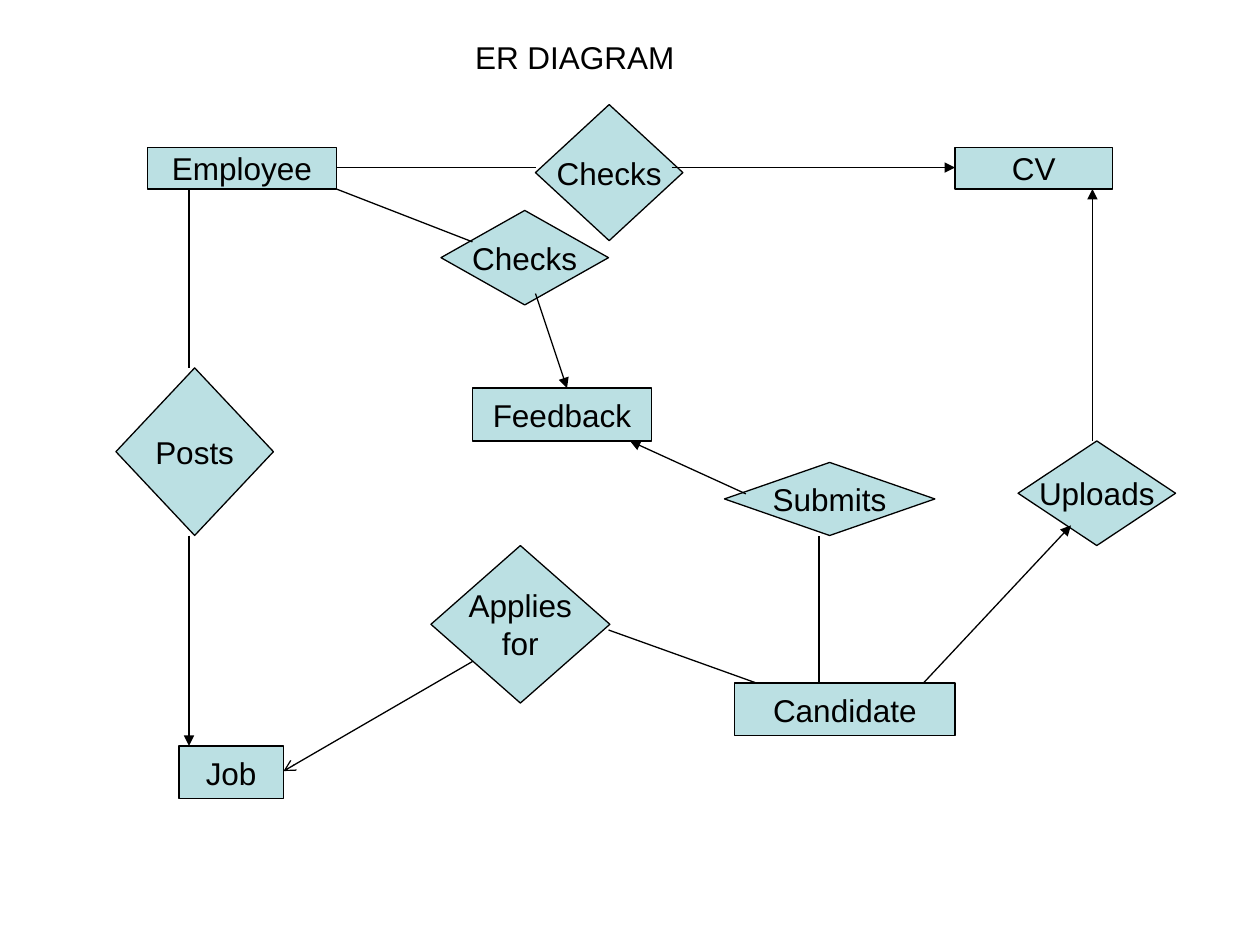
"""Build an entity-relationship diagram slide for a recruitment system."""
from lxml import etree
from pptx import Presentation
from pptx.dml.color import RGBColor
from pptx.enum.shapes import MSO_CONNECTOR, MSO_SHAPE
from pptx.enum.text import MSO_ANCHOR, MSO_AUTO_SIZE, PP_ALIGN
from pptx.oxml.ns import qn
from pptx.util import Inches, Pt

ENTITY, RELATION = MSO_SHAPE.RECTANGLE, MSO_SHAPE.DIAMOND
STRAIGHT = MSO_CONNECTOR.STRAIGHT
MIDDLE, TOP = MSO_ANCHOR.MIDDLE, MSO_ANCHOR.TOP
CENTER, LEFT = PP_ALIGN.CENTER, PP_ALIGN.LEFT
FIT_SHAPE = MSO_AUTO_SIZE.SHAPE_TO_FIT_TEXT

INK, FILL = "000000", "BBE0E3"
TITLE, TITLE_BOX = "ER DIAGRAM", (3.67, 0.25, 3.42, 0.4)

NODES = [
    (ENTITY, "Candidate", (5.83, 5.42, 1.75, 0.42)),
    (ENTITY, "Employee", (1.17, 1.17, 1.5, 0.33)),
    (ENTITY, "CV", (7.58, 1.17, 1.25, 0.33)),
    (ENTITY, "Job", (1.42, 5.92, 0.83, 0.42)),
    (RELATION, "Checks", (4.25, 0.83, 1.17, 1.08)),
    (RELATION, "Uploads", (8.08, 3.5, 1.25, 0.83)),
    (RELATION, "Applies\nfor", (3.42, 4.33, 1.42, 1.25)),
    (RELATION, "Posts", (0.92, 2.92, 1.25, 1.33)),
    (ENTITY, "Feedback", (3.75, 3.08, 1.42, 0.42)),
    (RELATION, "Submits", (5.75, 3.67, 1.67, 0.58)),
    (RELATION, "Checks", (3.5, 1.67, 1.33, 0.75)),
]

LINKS = [
    ((1.5, 4.25), (1.5, 5.92), "triangle"),
    ((1.5, 2.92), (1.5, 1.5), None),
    ((5.33, 1.33), (7.58, 1.33), "triangle"),
    ((2.67, 1.33), (4.25, 1.33), None),
    ((8.67, 3.5), (8.67, 1.5), "triangle"),
    ((4.83, 5), (6, 5.42), None),
    ((7.33, 5.42), (8.5, 4.17), "triangle"),
    ((4, 2.75), (4, 2.75), "triangle"),
    ((6.5, 5.42), (6.5, 4.25), None),
    ((5.92, 3.92), (5, 3.5), "triangle"),
    ((4.25, 2.33), (4.5, 3.08), "triangle"),
    ((2.67, 1.5), (3.75, 1.92), None),
    ((3.75, 5.25), (2.25, 6.12), "arrow"),
]


def color(value):
    return RGBColor.from_string(value)


def write_text(shape, text, alignment, anchor, wrap):
    frame = shape.text_frame
    frame.word_wrap = wrap
    frame.vertical_anchor = anchor
    for index, line in enumerate(text.split("\n")):
        paragraph = frame.add_paragraph() if index else frame.paragraphs[0]
        paragraph.alignment = alignment
        run = paragraph.add_run()
        run.text = line
        run.font.name = "Arial"
        run.font.size = Pt(18)
        run.font.color.rgb = color(INK)


def draw_outline(line):
    line.color.rgb = color(INK)
    line.width = Pt(0.75)


def add_title(slide):
    title = slide.shapes.title
    title.left, title.top, title.width, title.height = map(Inches, TITLE_BOX)
    write_text(title, TITLE, LEFT, TOP, True)
    title.text_frame.auto_size = FIT_SHAPE


def add_node(slide, kind, label, box):
    shape = slide.shapes.add_shape(kind, *map(Inches, box))
    shape.shadow.inherit = False
    shape.fill.solid()
    shape.fill.fore_color.rgb = color(FILL)
    draw_outline(shape.line)
    write_text(shape, label, CENTER, MIDDLE, False)


def add_link(slide, start, end, arrowhead):
    connector = slide.shapes.add_connector(STRAIGHT, *map(Inches, start + end))
    draw_outline(connector.line)
    properties = connector._element.spPr
    if arrowhead:
        outline = properties.find(qn("a:ln"))
        etree.SubElement(outline, qn("a:tailEnd"), type=arrowhead)
    etree.SubElement(properties, qn("a:effectLst"))


def main():
    presentation = Presentation()
    presentation.slide_width, presentation.slide_height = Inches(10), Inches(7.5)
    title_only = presentation.slide_layouts.get_by_name("Title Only")
    slide = presentation.slides.add_slide(title_only)
    add_title(slide)
    for node in NODES:
        add_node(slide, *node)
    for link in LINKS:
        add_link(slide, *link)
    presentation.save("out.pptx")


if __name__ == "__main__":
    main()
